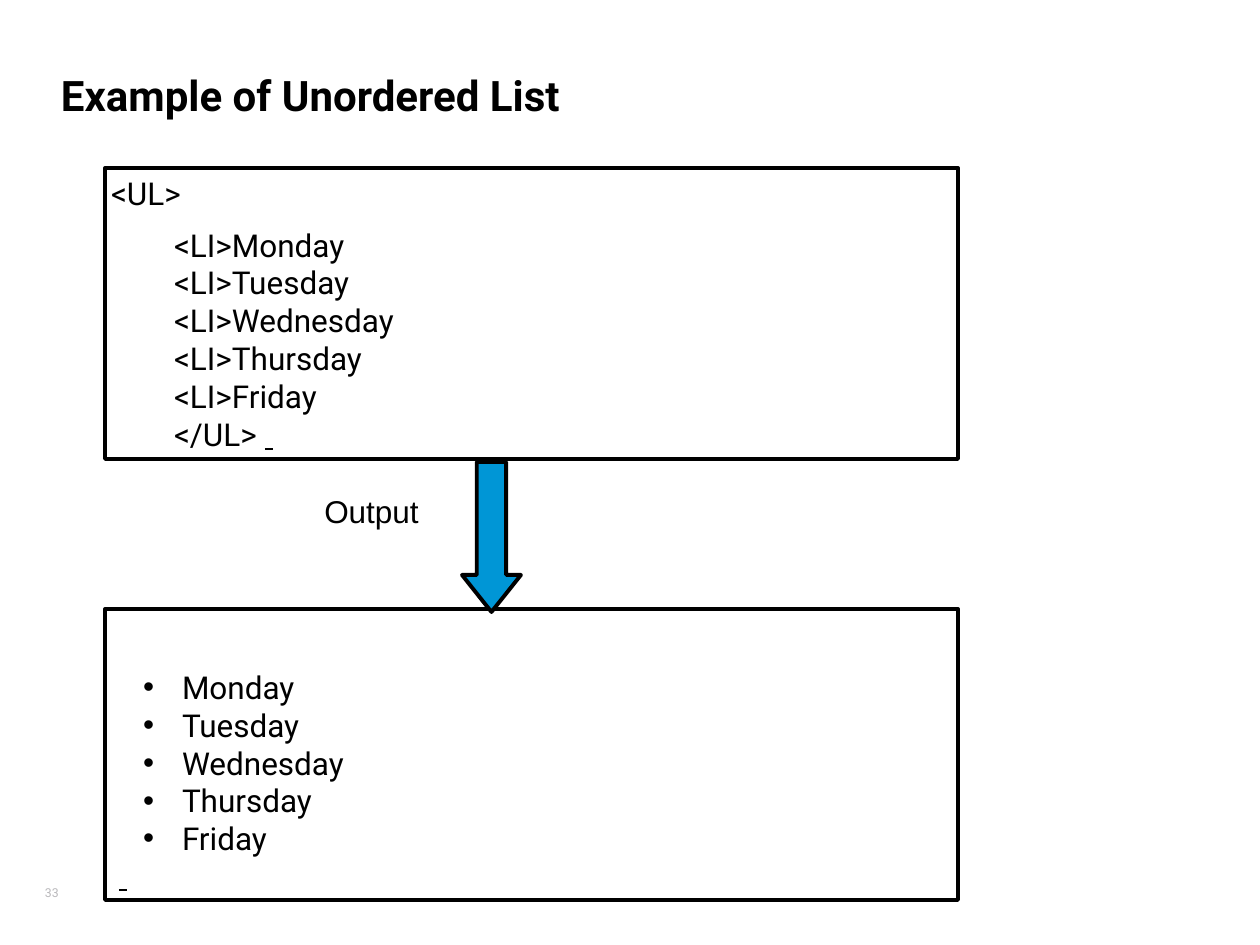
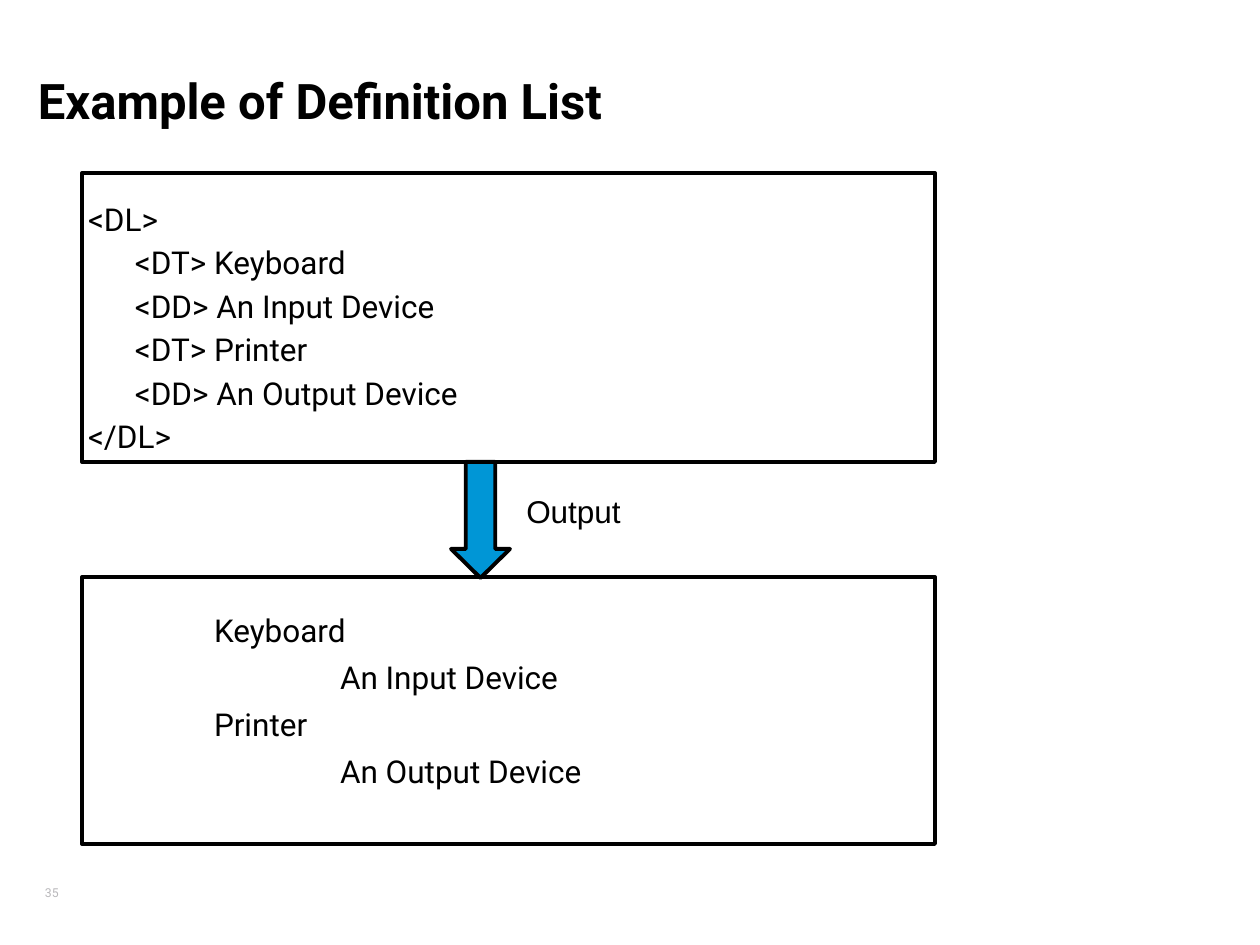
from lxml.etree import SubElement
from pptx import Presentation
from pptx.dml.color import RGBColor
from pptx.enum.shapes import MSO_CONNECTOR as CONN, MSO_SHAPE as SHAPE
from pptx.enum.text import MSO_ANCHOR as ANCHOR, PP_ALIGN as ALIGN
from pptx.oxml.ns import qn
from pptx.util import Pt

PX_PER_INCH = 126


def px(n):
    return round(n * 914400 / PX_PER_INCH)


def rgb(value):
    return RGBColor.from_string(value)


def write(tf, text, *, size=18, color="000000", font="Roboto", bold=False,
          align=ALIGN.LEFT, anchor=ANCHOR.TOP, left=6, top=6, line=None,
          before=0, after=0, indents=None, hanging=0, bullet=None):
    """Fill a text frame with one paragraph per line of text."""
    tf.word_wrap = True
    tf.vertical_anchor = anchor
    tf.margin_left, tf.margin_top = px(left), px(top)
    tf.margin_right = tf.margin_bottom = px(6)
    lines = text.split("\n")
    for i, (content, indent) in enumerate(zip(lines, indents or [0] * len(lines))):
        p = tf.paragraphs[0] if i == 0 else tf.add_paragraph()
        p.alignment = align
        if line:
            p.line_spacing = Pt(line)
        p.space_before = Pt(before if i else 0)
        p.space_after = Pt(after[i] if isinstance(after, list) else after)
        pPr = p._p.get_or_add_pPr()
        pPr.set("marL", str(px(indent)))
        pPr.set("indent", str(-px(hanging)))
        if bullet:
            SubElement(pPr, qn("a:buFont"), typeface="Arial")
            SubElement(pPr, qn("a:buChar"), char=bullet)
        r = p.add_run()
        r.text = content
        r.font.name, r.font.size, r.font.bold = font, Pt(size), bold
        r.font.color.rgb = rgb(color)


class Deck:
    ink, accent, muted = "000000", "0096D6", "B9B8BB"
    stroke = 2.25

    def __init__(self):
        self.prs = Presentation()
        self.prs.slide_width, self.prs.slide_height = px(1260), px(945)
        self.s = None

    def slide(self, number, title, left, top, width, height, size):
        self.s = self.prs.slides.add_slide(self.prs.slide_layouts[6])
        self.text(number, 45, 879, 44, 28, size=7, color=self.muted,
                  anchor=ANCHOR.MIDDLE, left=0)
        self.text(title, left, top, width, height, size=size, bold=True,
                  anchor=ANCHOR.MIDDLE)

    def text(self, text, x, y, w, h, **fmt):
        sp = self.s.shapes.add_textbox(px(x), px(y), px(w), px(h))
        write(sp.text_frame, text, **fmt)

    def shape(self, kind, x, y, w, h, fill=None):
        sp = self.s.shapes.add_shape(kind, px(x), px(y), px(w), px(h))
        sp.shadow.inherit = False
        if fill:
            sp.fill.solid()
            sp.fill.fore_color.rgb = rgb(fill)
        else:
            sp.fill.background()
        sp.line.color.rgb = rgb(self.ink)
        sp.line.width = Pt(self.stroke)
        return sp

    def box(self, text, x, y, h, **fmt):
        sp = self.shape(SHAPE.RECTANGLE, x, y, 853, h)
        write(sp.text_frame, text, **fmt)

    def output_arrow(self, x, h, head, label_x):
        sp = self.shape(SHAPE.DOWN_ARROW, x, 462, 59, h, self.accent)
        sp.adjustments[0], sp.adjustments[1] = 0.5, head / 59
        self.text("Output", label_x, 486, 219, 50, font="Arial", align=ALIGN.CENTER)

    def dash(self, x, y):
        c = self.s.shapes.add_connector(CONN.STRAIGHT, px(x), px(y), px(x + 8), px(y))
        c.line.color.rgb = rgb(self.ink)
        c.line.width = Pt(0.75)
        SubElement(c._element.spPr, qn("a:effectLst"))


def main():
    deck = Deck()
    days = ["Monday", "Tuesday", "Wednesday", "Thursday", "Friday"]

    deck.slide("33", "Example of Unordered List", 55, 63, 568, 63, 24)
    source = ["<UL>"] + [f"<LI>{day}" for day in days] + ["</UL>"]
    deck.box("\n".join(source), 105, 168, 291,
             indents=[0] + [63] * 6, after=[7.9] + [0] * 6)
    deck.dash(265, 449)
    deck.box("\n".join(days), 105, 609, 291, top=59,
             indents=[71] * 5, hanging=39, bullet="•")
    deck.dash(119, 890)
    deck.output_arrow(462, 150, 37, 262)

    deck.slide("35", "Example of Definition List", 32, 64, 641, 72, 28)
    source = """<DL>
      <DT> Keyboard
      <DD> An Input Device
      <DT> Printer
      <DD> An Output Device
</DL>"""
    deck.box(source, 82, 173, 289, top=49, line=9, before=7.9, after=7.9)
    deck.box("Keyboard\nAn Input Device\nPrinter\nAn Output Device", 82, 577, 267,
             top=53, line=11, before=7.9, after=7.9, indents=[126, 252] * 2)
    deck.output_arrow(451, 116, 29, 464)

    deck.prs.save("out.pptx")


if __name__ == "__main__":
    main()
